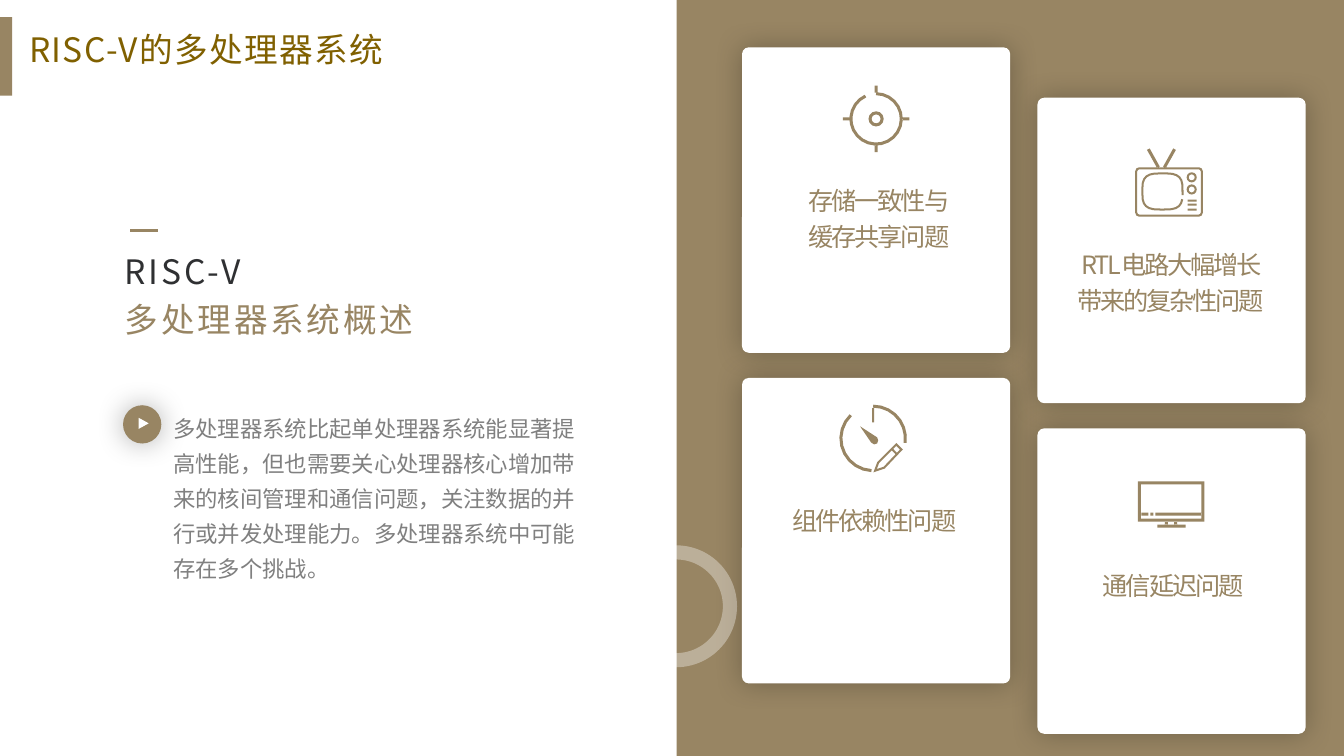
import math

import pptx
import pptx.dml.color
import pptx.enum.shapes
import pptx.enum.text
import pptx.oxml
import pptx.oxml.ns
import pptx.util

Inches = pptx.util.Inches
Pt = pptx.util.Pt
RGBColor = pptx.dml.color.RGBColor
Shape = pptx.enum.shapes.MSO_SHAPE
Align = pptx.enum.text.PP_ALIGN

BRONZE = RGBColor(0x98, 0x85, 0x63)
OLIVE = RGBColor(0x80, 0x60, 0x00)
INK = RGBColor(0x2F, 0x30, 0x32)
GRAY = RGBColor(0x80, 0x80, 0x80)
WHITE = RGBColor(0xFF, 0xFF, 0xFF)
FONT = "Noto Sans CJK SC"
NAMESPACE = pptx.oxml.ns.nsdecls("a")


# Icon geometry, in inches; every function returns outlines to be filled
def arc(x, y, rx, ry, start, end, power=1.0, step=15):
    """Points along an ellipse; a power below 1 squares it off."""
    points = []
    count = round((end - start) / step)
    for i in range(count + 1):
        angle = math.radians(start + (end - start) * i / count)
        c, s = math.cos(angle), math.sin(angle)
        points.append((x + rx * math.copysign(abs(c) ** power, c),
                       y + ry * math.copysign(abs(s) ** power, s)))
    return points


def band(points, width, closed=False):
    """Outline of a stroke of the given width along the points."""
    count = len(points)
    sides = [[], []]
    for i, (x, y) in enumerate(points):
        before = points[i - 1] if closed or i else (x, y)
        after = points[(i + 1) % count] if closed or i < count - 1 else (x, y)
        normals = []
        for a, b in ((before, (x, y)), ((x, y), after)):
            length = math.dist(a, b)
            if length:
                normals.append(((a[1] - b[1]) / length, (b[0] - a[0]) / length))
        nx = sum(n[0] for n in normals) / len(normals)
        ny = sum(n[1] for n in normals) / len(normals)
        reach = width / 2 / (nx * nx + ny * ny)
        sides[0].append((x + nx * reach, y + ny * reach))
        sides[1].append((x - nx * reach, y - ny * reach))
    return sides if closed else [sides[0] + sides[1][::-1]]


def ring(x, y, radius, width):
    return band(arc(x, y, radius, radius, 0, 330, step=30), width, closed=True)


def frame(left, top, right, bottom, radius, width):
    corners = [(right - radius, bottom - radius), (left + radius, bottom - radius),
               (left + radius, top + radius), (right - radius, top + radius)]
    points = []
    for quarter, (x, y) in enumerate(corners):
        points += arc(x, y, radius, radius, quarter * 90, quarter * 90 + 90, step=45)
    return band(points, width, closed=True)


def target_icon(x=8.69, y=1.18):
    outlines = ring(x, y, 0.06, 0.03)
    outlines += band(arc(x, y, 0.25, 0.25, -90, 245), 0.03)
    for dx, dy in ((1, 0), (0, 1), (-1, 0), (0, -1)):
        outlines += band([(x + dx * 0.26, y + dy * 0.26),
                          (x + dx * 0.33, y + dy * 0.33)], 0.03)
    return outlines


def television_icon():
    outlines = frame(11.27, 1.67, 11.92, 2.14, 0.03, 0.02)
    outlines += band(arc(11.53, 1.9, 0.2, 0.18, 14, 364, 0.6), 0.02)
    for y in (1.76, 1.88):
        outlines += ring(11.82, y, 0.04, 0.02)
    for y in (1.99, 2.03, 2.08):
        outlines += band([(11.78, y), (11.87, y)], 0.02)
    for side in (-1, 1):
        outlines += band([(11.52 + side * 0.13, 1.48),
                          (11.52 + side * 0.03, 1.66)], 0.03)
    return outlines


def stopwatch_icon(x=8.66, y=4.35):
    outlines = band(arc(x, y, 0.32, 0.32, 93, 226), 0.03)
    outlines += band(arc(x, y, 0.32, 0.32, 270, 368), 0.03)
    outlines += band([(x, 4.05), (x, 4.19)], 0.02)
    outlines.append([(8.53, 4.23), (8.7, 4.34), (8.71, 4.37),
                     (8.7, 4.4), (8.67, 4.41), (8.64, 4.39)])
    outlines += band([(8.68, 4.67), (8.71, 4.59), (8.89, 4.41),
                      (8.94, 4.46), (8.77, 4.64)], 0.02, closed=True)
    outlines += band([(8.85, 4.46), (8.89, 4.5)], 0.02)
    return outlines


def monitor_icon():
    outlines = band([(11.3, 4.79), (11.93, 4.79), (11.93, 5.16), (11.3, 5.16)],
                    0.03, closed=True)
    for left, right in ((11.32, 11.39), (11.41, 11.44), (11.46, 11.92)):
        outlines += band([(left, 5.1), (right, 5.1)], 0.03)
    for x in (11.57, 11.66):
        outlines += band([(x, 5.18), (x, 5.21)], 0.03)
    outlines += band([(11.48, 5.22), (11.76, 5.22)], 0.03)
    return outlines


class Page:
    """The current slide and its style."""

    def __init__(self, deck):
        self.shapes = deck.slides.add_slide(deck.slide_layouts[6]).shapes

    def paint(self, shape, color, alpha=None):
        shape.shadow.inherit = False
        shape.fill.solid()
        shape.fill.fore_color.rgb = color
        shape.line.fill.background()
        if alpha:
            tone = shape._element.spPr.find(".//" + pptx.oxml.ns.qn("a:srgbClr"))
            tone.append(pptx.oxml.parse_xml(
                f'<a:alpha {NAMESPACE} val="{alpha * 1000}"/>'))

    def shape(self, kind, place, color, adjust=None, alpha=None, glow=None):
        shape = self.shapes.add_shape(kind, *(Inches(v) for v in place))
        self.paint(shape, color, alpha)
        if adjust is not None:
            shape.adjustments[0] = adjust
        if glow:
            effects = shape._element.spPr.find(pptx.oxml.ns.qn("a:effectLst"))
            effects.append(pptx.oxml.parse_xml(
                f'<a:outerShdw {NAMESPACE} blurRad="{Pt(20)}" dist="0" dir="0" '
                f'algn="ctr" rotWithShape="0"><a:srgbClr val="000000">'
                f'<a:alpha val="{glow * 1000}"/></a:srgbClr></a:outerShdw>'))
        return shape

    def icon(self, outlines):
        builder = None
        for outline in outlines:
            first, *rest = [(Inches(x), Inches(y)) for x, y in outline]
            if builder is None:
                builder = self.shapes.build_freeform(*first)
            else:
                builder.move_to(*first)
            builder.add_line_segments(rest, close=True)
        self.paint(builder.convert_to_shape(), BRONZE)

    def line(self, x1, y1, x2, y2, color, weight):
        line = self.shapes.add_connector(
            pptx.enum.shapes.MSO_CONNECTOR.STRAIGHT,
            Inches(x1), Inches(y1), Inches(x2), Inches(y2))
        line.line.color.rgb = color
        line.line.width = Pt(weight)
        line._element.spPr.append(
            pptx.oxml.parse_xml(f"<a:effectLst {NAMESPACE}/>"))

    def text(self, place, lines, size, spacing=1.2, tracking=0, align=Align.LEFT):
        box = self.shapes.add_textbox(*(Inches(v) for v in place)).text_frame
        box.word_wrap = True
        box.auto_size = pptx.enum.text.MSO_AUTO_SIZE.SHAPE_TO_FIT_TEXT
        for index, (words, color) in enumerate(lines):
            para = box.add_paragraph() if index else box.paragraphs[0]
            para.alignment = align
            para.line_spacing = spacing
            span = para.add_run()
            span.text = words
            span.font.size = Pt(size)
            span.font.name = FONT
            span.font.color.rgb = color
            properties = span.font._element
            properties.set("spc", str(int(tracking * 100)))
            properties.append(pptx.oxml.parse_xml(
                f'<a:ea {NAMESPACE} typeface="{FONT}"/>'))


def main():
    deck = pptx.Presentation()
    deck.slide_width, deck.slide_height = Inches(13.33), Inches(7.5)
    page = Page(deck)

    # Title
    page.shape(Shape.RECTANGLE, (0, 0.17, 0.12, 0.78), BRONZE)
    page.text((0.19, 0.16, 4.14, 0.55), [("RISC-V的多处理器系统", OLIVE)], 24, tracking=1)

    # Right panel with its cards
    page.shape(Shape.RECTANGLE, (6.71, 0, 6.62, 7.5), BRONZE)
    for left, top in ((7.36, 0.47), (10.29, 0.97)):
        for row in range(2):
            page.shape(Shape.ROUNDED_RECTANGLE, (left, top + row * 3.28, 2.66, 3.03),
                       WHITE, adjust=0.025, glow=25)
    page.shape(Shape.DONUT, (6.1, 5.41, 1.21, 1.21), WHITE, adjust=0.116, alpha=35)

    # Card icons and captions
    cards = [
        (target_icon, (7.92, 1.73, 1.8, 0.8), "存储一致性与缓存共享问题", Align.LEFT),
        (television_icon, (10.58, 2.36, 2.06, 0.8), "RTL电路大幅增长带来的复杂性问题", Align.CENTER),
        (stopwatch_icon, (7.76, 4.9, 1.92, 0.44), "组件依赖性问题", Align.LEFT),
        (monitor_icon, (10.84, 5.55, 1.8, 0.44), "通信延迟问题", Align.LEFT),
    ]
    for draw, place, caption, align in cards:
        page.icon(draw())
        page.text(place, [(caption, BRONZE)], 18, tracking=-1.5, align=align)

    # Overview on the left
    page.text((1.14, 2.36, 3.14, 1.03),
              [("RISC-V", INK), ("多处理器系统概述", BRONZE)], 24, tracking=2)
    page.text((1.62, 3.99, 4.4, 1.82), [(
        "多处理器系统比起单处理器系统能显著提高性能，但也需要关心处理器核心增加带来的核间管理和通信问题，"
        "关注数据的并行或并发处理能力。多处理器系统中可能存在多个挑战。", GRAY)], 16, spacing=1.3)
    page.line(1.29, 2.29, 1.57, 2.29, BRONZE, 2.25)

    # Play button
    page.shape(Shape.OVAL, (1.22, 4.02, 0.38, 0.38), BRONZE, glow=30)
    page.shape(Shape.ISOSCELES_TRIANGLE, (1.37, 4.15, 0.11, 0.1), WHITE).rotation = 90

    deck.save("out.pptx")


if __name__ == "__main__":
    main()
